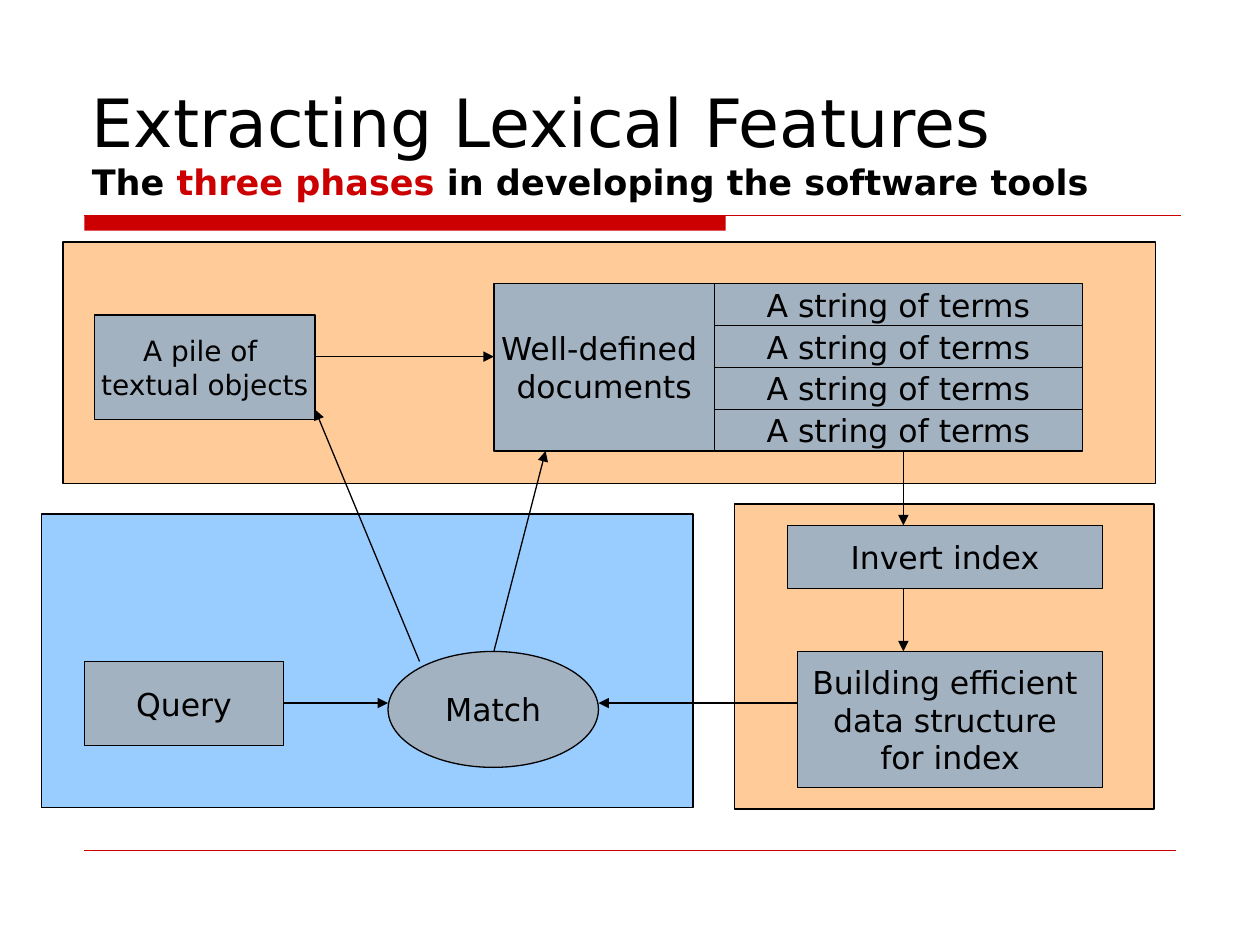
from pptx import Presentation
from pptx.dml.color import RGBColor
from pptx.enum.shapes import MSO_CONNECTOR as Link, MSO_SHAPE as Shape
from pptx.enum.text import MSO_ANCHOR as Anchor, PP_ALIGN as Align
from pptx.oxml.ns import qn
from pptx.util import Inches, Pt
from lxml.etree import SubElement

FONT = "DejaVu Sans"
COLORS = {"ink": "000000", "accent": "CC0000", "node": "A3B2C1",
          "text_phase": "FFCC99", "query_phase": "99CCFF"}


def color(name):
    """Return the named colour."""
    return RGBColor.from_string(COLORS[name])


def add_span(para, text, size, ink="ink", bold=False):
    """Add one formatted run to a paragraph."""
    span = para.add_run()
    span.text = text
    span.font.name, span.font.size, span.font.bold = FONT, Pt(size), bold
    span.font.color.rgb = color(ink)


def add_block(page, box, fill, kind=Shape.RECTANGLE, outline=True):
    """Draw a filled shape in a box of left, top, width and height."""
    block = page.shapes.add_shape(kind, *map(Inches, box))
    block.shadow.inherit = False
    block.fill.solid()
    block.fill.fore_color.rgb = color(fill)
    if outline:
        block.line.color.rgb = color("ink")
        block.line.width = Pt(0.75)
    else:
        block.line.fill.background()
    return block


def add_node(page, box, lines, size=18, kind=Shape.RECTANGLE):
    """Draw a labelled step with one paragraph for each line."""
    frame = add_block(page, box, "node", kind).text_frame
    frame.word_wrap = False
    frame.vertical_anchor = Anchor.MIDDLE
    for number, line in enumerate(lines):
        para = frame.add_paragraph() if number else frame.paragraphs[0]
        para.alignment = Align.CENTER
        add_span(para, line, size)


def add_line(page, start, end, ink="ink", width=0.75, arrow=False):
    """Draw a straight line, with an arrowhead at its end if asked."""
    line = page.shapes.add_connector(Link.STRAIGHT, *map(Inches, (*start, *end)))
    line.line.color.rgb = color(ink)
    line.line.width = Pt(width)
    if arrow:
        SubElement(line.line._get_or_add_ln(), qn("a:tailEnd"), type="triangle")
    SubElement(line._element.spPr, qn("a:effectLst"))


def draw_rules(page, left, top, width):
    """Draw the heavy header rule and the thin footer rule."""
    add_block(page, (left, top, 5.09, 0.12), "accent", outline=False)
    add_line(page, (left, top), (left + width, top), "accent")
    add_line(page, (left, top + 5.04), (left + width - 0.04, top + 5.04), "accent", 0.25)


def draw_title(page, box):
    """Write the title and its subtitle, set at the bottom of the box."""
    frame = page.shapes.add_textbox(*map(Inches, box)).text_frame
    frame.word_wrap = True
    frame.vertical_anchor = Anchor.BOTTOM
    para = frame.paragraphs[0]
    add_span(para, "Extracting Lexical Features", 38)
    para.add_line_break()
    add_span(para, "The ", 20, bold=True)
    add_span(para, "three phases", 20, "accent", True)
    add_span(para, " in developing the software tools", 20, bold=True)


def draw_documents_phase(page, box):
    """Draw the phase that turns raw text into strings of terms."""
    left, top = box[:2]
    add_block(page, box, "text_phase")
    add_node(page, (left + 0.25, top + 0.58, 1.75, 0.83), ["A pile of ", "textual objects"], 16)
    add_node(page, (left + 3.42, top + 0.33, 1.75, 1.33), ["Well-defined ", "documents"])
    rows = 4
    height = 1.33 / rows
    for row in range(rows):
        add_node(page, (left + 5.17, top + 0.33 + row * height, 2.92, height), ["A string of terms"])
    add_line(page, (left + 2, top + 0.91), (left + 3.42, top + 0.91), arrow=True)


def draw_index_phase(page, box):
    """Draw the phase that builds the index."""
    left, top = box[:2]
    add_block(page, box, "text_phase")
    add_node(page, (left + 0.42, top + 0.17, 2.5, 0.5), ["Invert index"])
    add_node(page, (left + 0.5, top + 1.17, 2.42, 1.08),
             ["Building efficient ", "data structure ", "for index"])
    add_line(page, (left + 1.34, top + 0.67), (left + 1.34, top + 1.17), arrow=True)


def draw_query_phase(page, box):
    """Draw the phase that matches a query."""
    left, top = box[:2]
    add_block(page, box, "query_phase")
    add_node(page, (left + 0.34, top + 1.17, 1.58, 0.67), ["Query"])
    add_node(page, (left + 2.75, top + 1.09, 1.67, 0.92), ["Match"], kind=Shape.OVAL)
    add_line(page, (left + 1.92, top + 1.5), (left + 2.75, top + 1.5), arrow=True)


def draw_phase_links(page):
    """Draw the arrows that lead from one phase to another."""
    links = [((7.17, 3.58), (7.17, 4.17)), ((6.33, 5.58), (4.75, 5.58)),
             ((3.33, 5.25), (2.5, 3.25)), ((3.92, 5.17), (4.33, 3.58))]
    for start, end in links:
        add_line(page, start, end, arrow=True)


def main():
    """Build and save the deck."""
    deck = Presentation()
    deck.slide_width, deck.slide_height = Inches(10), Inches(7.5)
    page = deck.slides.add_slide(deck.slide_layouts[6])
    draw_rules(page, 0.67, 1.71, 8.7)
    draw_title(page, (0.63, 0.33, 8.75, 1.33))
    draw_query_phase(page, (0.33, 4.08, 5.17, 2.33))
    draw_index_phase(page, (5.83, 4, 3.33, 2.42))
    draw_documents_phase(page, (0.5, 1.92, 8.67, 1.92))
    draw_phase_links(page)
    deck.save("out.pptx")


if __name__ == "__main__":
    main()
